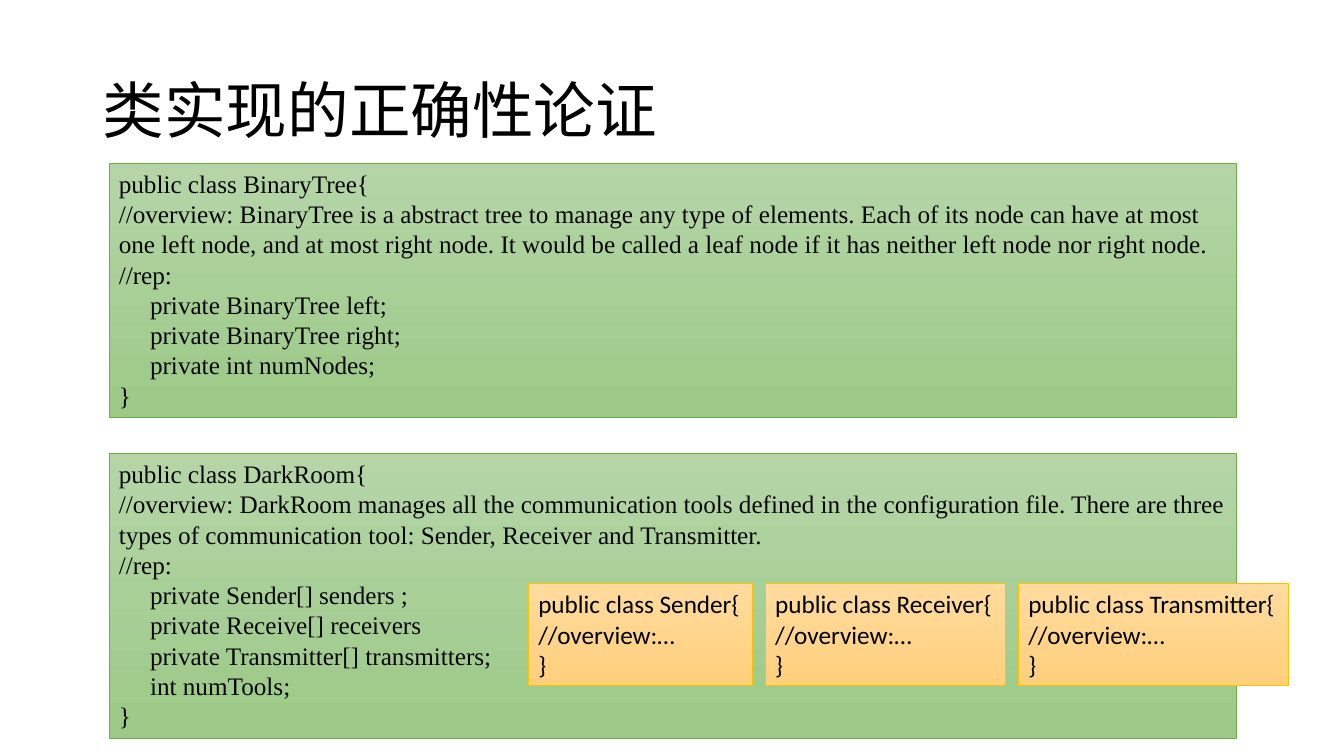
from pptx import Presentation
from pptx.dml.color import RGBColor
from pptx.enum.shapes import MSO_SHAPE
from pptx.enum.text import MSO_ANCHOR, MSO_AUTO_SIZE, PP_ALIGN
from pptx.util import Inches, Pt

RECT = MSO_SHAPE.RECTANGLE
LEFT, TOP, MIDDLE = PP_ALIGN.LEFT, MSO_ANCHOR.TOP, MSO_ANCHOR.MIDDLE
GROW = MSO_AUTO_SIZE.SHAPE_TO_FIT_TEXT

TITLE = "类实现的正确性论证"
CLASSES = [
    (1.62, 2.52, [
        "public class BinaryTree{",
        "//overview: BinaryTree is a abstract tree to manage any type of elements. "
        "Each of its node can have at most one left node, and at most right node. "
        "It would be called a leaf node if it has neither left node nor right node.",
        "//rep:",
        "\tprivate BinaryTree left;",
        "\tprivate BinaryTree right;",
        "\tprivate int numNodes;",
        "}",
    ]),
    (4.5, 2.83, [
        "public class DarkRoom{",
        "//overview: DarkRoom manages all the communication tools defined in the "
        "configuration file. There are three types of communication tool: "
        "Sender, Receiver and Transmitter.",
        "//rep:",
        "\tprivate Sender[] senders ;",
        "\tprivate Receive[] receivers",
        "\tprivate Transmitter[] transmitters;",
        "\tint numTools;",
        "}",
    ]),
]
TOOLS = [("Sender", 2.22), ("Receiver", 2.38), ("Transmitter", 2.68)]
TOOL_LEFT, TOOL_TOP, TOOL_HEIGHT, TOOL_GAP = 5.24, 5.79, 1.01, 0.13
GREEN = ("B5D5A7", "9CC987", "70AD47", "070707", "Times New Roman")
GOLD = ("FFDB9E", "FFD07C", "FFC000", "000000", "Calibri")
INDENT = 0.31


def rgb(color):
    return RGBColor.from_string(color)


def style(p, size, font, color):
    for r in p.runs:
        r.font.size = Pt(size)
        r.font.name = font
        r.font.color.rgb = rgb(color)


def add_code(s, box, lines, theme, wrap):
    start, end, border, color, font = theme
    sp = s.shapes.add_shape(RECT, *map(Inches, box))
    sp.shadow.inherit = False
    sp.fill.gradient()
    sp.fill.gradient_angle = 270
    for stop, shade in zip(sp.fill.gradient_stops, (start, end)):
        stop.color.rgb = rgb(shade)
    sp.line.color.rgb = rgb(border)
    sp.line.width = Pt(0.5)
    tf = sp.text_frame
    tf.text = "\n".join(line.strip() for line in lines)
    tf.word_wrap = wrap
    tf.auto_size = GROW
    tf.vertical_anchor = TOP
    for p, line in zip(tf.paragraphs, lines):
        p.alignment = LEFT
        style(p, 18, font, color)
        if line.startswith("\t"):
            p._p.get_or_add_pPr().set("marL", str(Inches(INDENT)))


prs = Presentation()
prs.slide_width, prs.slide_height = Inches(13.33), Inches(7.5)
s = prs.slides.add_slide(prs.slide_layouts[6])

tf = s.shapes.add_textbox(*map(Inches, (0.92, 0.4, 11.5, 1.45))).text_frame
tf.text = TITLE
tf.word_wrap = True
tf.vertical_anchor = MIDDLE
tf.paragraphs[0].line_spacing = 0.9
style(tf.paragraphs[0], 44, "Calibri", "000000")

for top, height, lines in CLASSES:
    add_code(s, (1.08, top, 11.18, height), lines, GREEN, True)

left = TOOL_LEFT
for name, width in TOOLS:
    lines = [f"public class {name}{{", "//overview:…", "}"]
    add_code(s, (left, TOOL_TOP, width, TOOL_HEIGHT), lines, GOLD, False)
    left += width + TOOL_GAP

prs.save("out.pptx")
